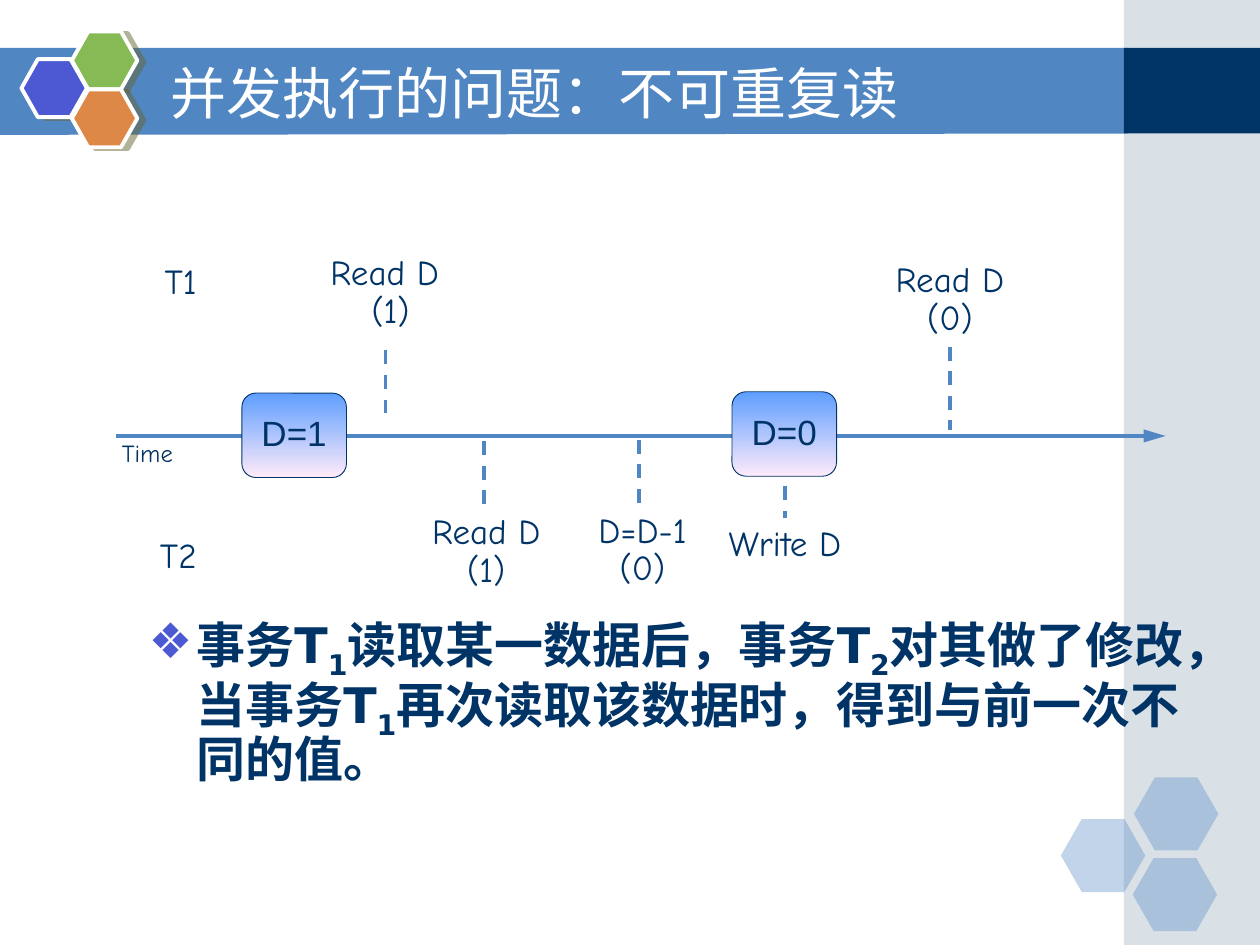
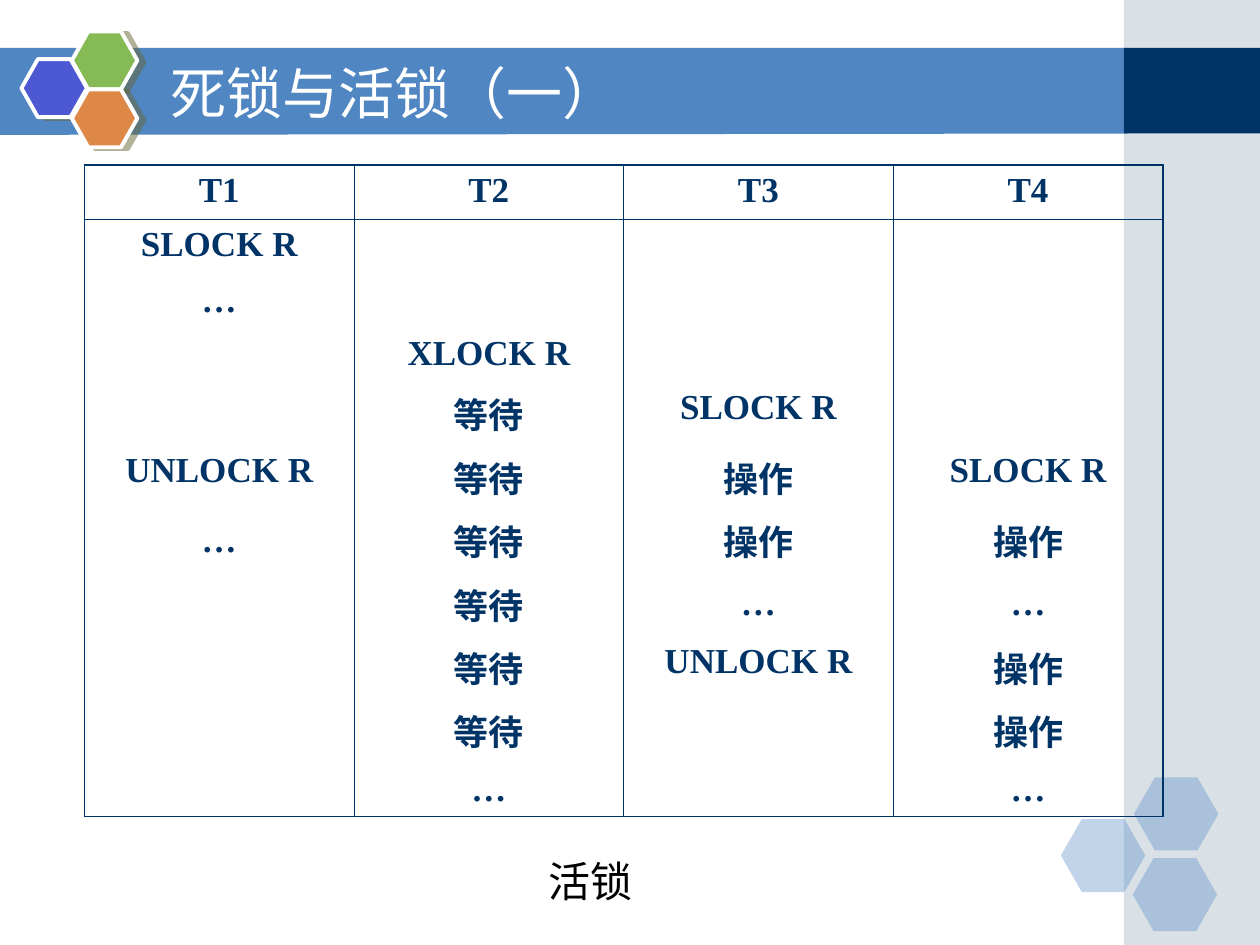
import pptx
import pptx.dml.color
import pptx.enum.dml
import pptx.enum.shapes
import pptx.enum.text
import pptx.oxml
import pptx.oxml.ns
import pptx.util

Inches = pptx.util.Inches
Pt = pptx.util.Pt
Shapes = pptx.enum.shapes.MSO_SHAPE
Align = pptx.enum.text.PP_ALIGN
Anchor = pptx.enum.text.MSO_ANCHOR
AutoSize = pptx.enum.text.MSO_AUTO_SIZE

COLORS = {
    "band": "5086C2", "navy": "003366", "side": "A0B5C4", "white": "FFFFFF",
    "violet": "4C59D2", "green": "85BA54", "orange": "DE8848",
    "shade": "666633", "sky": "5E9EFF", "blush": "FFEBFA", "black": "000000",
}


def rgb(name):
    """Return a palette colour."""
    return pptx.dml.color.RGBColor.from_string(COLORS[name])


def add_xml(parent, tag, inner="", **attributes):
    """Append a DrawingML element to parent."""
    listed = "".join(f' {key}="{value}"' for key, value in attributes.items())
    space = pptx.oxml.ns.nsdecls("a")
    parent.append(pptx.oxml.parse_xml(f"<a:{tag} {space}{listed}>{inner}</a:{tag}>"))


def srgb(name, inner=""):
    """Return the XML of a palette colour."""
    return f'<a:srgbClr val="{COLORS[name]}">{inner}</a:srgbClr>'


def write(frame, text, size=20, font="Comic Neue", color="navy", bold=False,
          align=Align.CENTER, spacing=None, before=None):
    """Fill a frame; underscores enclose subscripts, \\v breaks a line."""
    for index, line in enumerate(text.split("\n")):
        paragraph = frame.add_paragraph() if index else frame.paragraphs[0]
        paragraph.alignment = align
        paragraph.line_spacing = spacing
        paragraph.space_before = None if before is None else Pt(before)
        for part, piece in enumerate(line.split("_")):
            for row, words in enumerate(piece.split("\v")):
                if row:
                    paragraph.add_line_break()
                run = paragraph.add_run()
                run.text = words
                run.font.size, run.font.name, run.font.bold = Pt(size), font, bold
                run.font.color.rgb = rgb(color)
                if part % 2:
                    run.font._element.set("baseline", "-25000")


class Deck:
    """Hold the presentation style and the current slide."""

    def __init__(self):
        """Create an empty 4:3 presentation."""
        self.presentation = pptx.Presentation()
        self.presentation.slide_width = Inches(10)
        self.presentation.slide_height = Inches(7.5)
        self.slide = None

    def start(self, layout, title):
        """Add a slide with its title; the first one also dresses the master."""
        first = self.slide is None
        self.slide = self.presentation.slides.add_slide(
            self.presentation.slide_layouts[layout])
        if first:
            self.dress_master()
        self.place(self.slide.shapes.title, 1.25, 0.42, 7.33, 0.62)
        frame = self.slide.shapes.title.text_frame
        frame.auto_size = AutoSize.NONE
        frame.vertical_anchor = Anchor.MIDDLE
        write(frame, title, size=32, font="DejaVu Sans", color="white", align=Align.LEFT)

    def place(self, shape, left, top, width, height):
        """Set a placeholder's box."""
        shape.left, shape.top = Inches(left), Inches(top)
        shape.width, shape.height = Inches(width), Inches(height)

    def dress_master(self):
        """Draw the band, side strip and hexagons and hand them to the master."""
        outline = self.slide.shapes.build_freeform(Inches(-0.01), Inches(0.38), scale=1.0)
        corners = [(8.95, 0.38), (8.95, 1.06), (-0.01, 1.07)]
        outline.add_line_segments([(Inches(x), Inches(y)) for x, y in corners])
        band = outline.convert_to_shape()
        band.shadow.inherit = False
        self.paint(band, "band")
        decor = [
            band,
            self.shape(Shapes.RECTANGLE, 8.92, 0, 1.08, 7.5, "side", alpha=40),
            self.shape(Shapes.RECTANGLE, 8.92, 0.38, 1.08, 0.68, "navy"),
        ]
        for left, top in [(8.42, 6.5), (9, 6.17), (8.99, 6.81)]:
            decor.append(self.shape(Shapes.HEXAGON, left, top, 0.67, 0.58, "band",
                                    alpha=35, adjust=0.286))
        for left, top, color in [(0.17, 0.47, "violet"), (0.57, 0.25, "green"),
                                 (0.57, 0.71, "orange")]:
            cell = self.shape(Shapes.HEXAGON, left, top, 0.52, 0.46, color,
                              line="white", weight=2.25, adjust=0.283)
            effects = cell.element.spPr.find(pptx.oxml.ns.qn("a:effectLst"))
            add_xml(effects, "outerShdw", srgb("shade", '<a:alpha val="50000"/>'),
                    blurRad=0, dist=Pt(4.1), dir=14 * 60000, algn="ctr", rotWithShape=0)
            decor.append(cell)
        tree = self.presentation.slide_master.shapes.element
        for index, item in enumerate(decor):
            item.element.xpath("./*/p:cNvPr")[0].set("id", str(100 + index))
            tree.insert(2 + index, item.element)

    def paint(self, shape, fill, alpha=None, line=None, weight=0.5):
        """Set fill, transparency and outline of a shape."""
        shape.fill.solid()
        shape.fill.fore_color.rgb = rgb(fill)
        if alpha:
            tint = shape.element.spPr.find(".//" + pptx.oxml.ns.qn("a:srgbClr"))
            add_xml(tint, "alpha", val=alpha * 1000)
        if line:
            shape.line.color.rgb = rgb(line)
            shape.line.width = Pt(weight)
        else:
            shape.line.fill.background()

    def shape(self, kind, left, top, width, height, fill, adjust=None, **style):
        """Add a painted preset shape."""
        shape = self.slide.shapes.add_shape(
            kind, Inches(left), Inches(top), Inches(width), Inches(height))
        shape.shadow.inherit = False
        if adjust:
            shape.adjustments[0] = adjust
        self.paint(shape, fill, **style)
        return shape

    def value_box(self, left, top, text):
        """Add a gradient box that shows a value of D."""
        box = self.shape(Shapes.ROUNDED_RECTANGLE, left, top, 0.83, 0.67, "sky", line="navy")
        box.fill.gradient()
        box.fill.gradient_angle = 270
        for stop, color in zip(box.fill.gradient_stops, ("sky", "blush")):
            stop.color.rgb = rgb(color)
        box.text_frame.word_wrap = False
        box.text_frame.vertical_anchor = Anchor.MIDDLE
        write(box.text_frame, text, font="Arial", spacing=0.9)

    def label(self, left, top, width, height, text, wrap=False, anchor=Anchor.MIDDLE, **style):
        """Add a text box."""
        frame = self.slide.shapes.add_textbox(
            Inches(left), Inches(top), Inches(width), Inches(height)).text_frame
        frame.word_wrap = wrap
        frame.auto_size = AutoSize.SHAPE_TO_FIT_TEXT
        frame.vertical_anchor = anchor
        write(frame, text, **style)

    def line(self, x1, y1, x2, y2, weight=2, dashed=True, arrow=False):
        """Add a straight line."""
        line = self.slide.shapes.add_connector(
            pptx.enum.shapes.MSO_CONNECTOR.STRAIGHT,
            Inches(x1), Inches(y1), Inches(x2), Inches(y2))
        line.line.color.rgb = rgb("band")
        line.line.width = Pt(weight)
        if dashed:
            line.line.dash_style = pptx.enum.dml.MSO_LINE.DASH
        if arrow:
            add_xml(line.line._get_or_add_ln(), "tailEnd", type="triangle", len="lg")
        add_xml(line.element.spPr, "effectLst")

    def bullet(self, left, top, width, height, text):
        """Fill the body placeholder with one bulleted paragraph."""
        body = self.slide.placeholders[1]
        self.place(body, left, top, width, height)
        body.text_frame.auto_size = AutoSize.NONE
        write(body.text_frame, text, size=28, font="DejaVu Sans", bold=True,
              align=Align.LEFT, spacing=0.9, before=7)
        properties = body.text_frame.paragraphs[0]._p.get_or_add_pPr()
        properties.set("marL", str(Inches(0.38)))
        properties.set("indent", str(Inches(-0.38)))
        add_xml(properties, "buClr", srgb("violet"))
        add_xml(properties, "buChar", char="❖")

    def table(self, left, top, column_width, row_height, rows):
        """Add a table with a heavy frame, column rules and a header rule."""
        last_row, last_column = len(rows) - 1, len(rows[0]) - 1
        table = self.slide.shapes.add_table(
            len(rows), len(rows[0]), Inches(left), Inches(top),
            Inches(column_width * len(rows[0])), Inches(row_height * len(rows))).table
        table.first_row = table.horz_banding = False
        for column in table.columns:
            column.width = Inches(column_width)
        for r, row in enumerate(rows):
            table.rows[r].height = Inches(row_height)
            for c, text in enumerate(row):
                cell = table.cell(r, c)
                if text:
                    write(cell.text_frame, text, font="Times New Roman", bold=True, before=5)
                if text == "…":
                    cell.vertical_anchor = Anchor.MIDDLE
                weights = {
                    "lnL": 0.45 if c else 1.08,
                    "lnR": 0.45 if c < last_column else 1.08,
                    "lnT": {0: 1.08, 1: 0.45}.get(r),
                    "lnB": {0: 0.45, last_row: 1.08}.get(r),
                }
                for side, weight in weights.items():
                    paint = f"<a:solidFill>{srgb('navy')}</a:solidFill>" if weight else "<a:noFill/>"
                    add_xml(cell._tc.get_or_add_tcPr(), side, paint, w=Pt(weight or 0))
                cell.fill.background()


def build_unrepeatable_read(deck):
    """Build the timeline of the two transactions."""
    deck.start(1, "并发执行的问题：不可重复读")
    deck.bullet(1.08, 4.83, 8.5, 1.66,
                "事务T_1_读取某一数据后，事务T_2_对其做了修改，"
                "当事务T_1_再次读取该数据时，得到与前一次不同的值。")
    deck.line(0.92, 3.46, 9.25, 3.46, weight=2.5, dashed=False, arrow=True)
    deck.label(0.82, 3.45, 0.7, 0.31, "Time", size=14, spacing=0.9)
    deck.value_box(1.92, 3.12, "D=1")
    deck.value_box(5.81, 3.11, "D=0")
    for left, top, width, height, text in [
        (1.14, 4.22, 0.55, 0.4, "T2"),
        (1.16, 2.05, 0.55, 0.4, "T1"),
        (3.33, 4.03, 1.06, 0.7, "Read D\v(1)"),
        (2.52, 1.98, 1.16, 0.7, "Read D \v(1)"),
        (7.01, 2.03, 1.06, 0.7, "Read D\n(0)"),
        (5.68, 4.13, 1.1, 0.4, "Write D"),
        (4.65, 4.02, 0.9, 0.7, "D=D-1\v(0)"),
    ]:
        deck.label(left, top, width, height, text, spacing=0.9)
    for x, top, bottom in [(3.84, 3.5, 4.08), (3.06, 2.78, 3.28), (7.54, 2.75, 3.41),
                           (6.23, 3.86, 4.11), (5.07, 3.49, 4.07)]:
        deck.line(x, top, x, bottom)


def build_livelock(deck):
    """Build the lock schedule of four transactions."""
    deck.start(5, "死锁与活锁（一）")
    schedule = [
        ("T1", "T2", "T3", "T4"),
        ("SLOCK R", "", "", ""),
        ("…", "", "", ""),
        ("", "XLOCK R", "", ""),
        ("", "等待", "SLOCK R", ""),
        ("UNLOCK R", "等待", "操作", "SLOCK R"),
        ("…", "等待", "操作", "操作"),
        ("", "等待", "…", "…"),
        ("", "等待", "UNLOCK R", "操作"),
        ("", "等待", "", "操作"),
        ("", "…", "", "…"),
    ]
    deck.table(0.67, 1.31, 2.14, 0.43, schedule)
    deck.label(3.09, 6.74, 3.19, 0.5, "活锁", wrap=True, anchor=Anchor.TOP,
               size=24, font="Arial", color="black", before=15)


def main():
    """Build both slides and save them."""
    deck = Deck()
    build_unrepeatable_read(deck)
    build_livelock(deck)
    deck.presentation.save("out.pptx")


if __name__ == "__main__":
    main()
